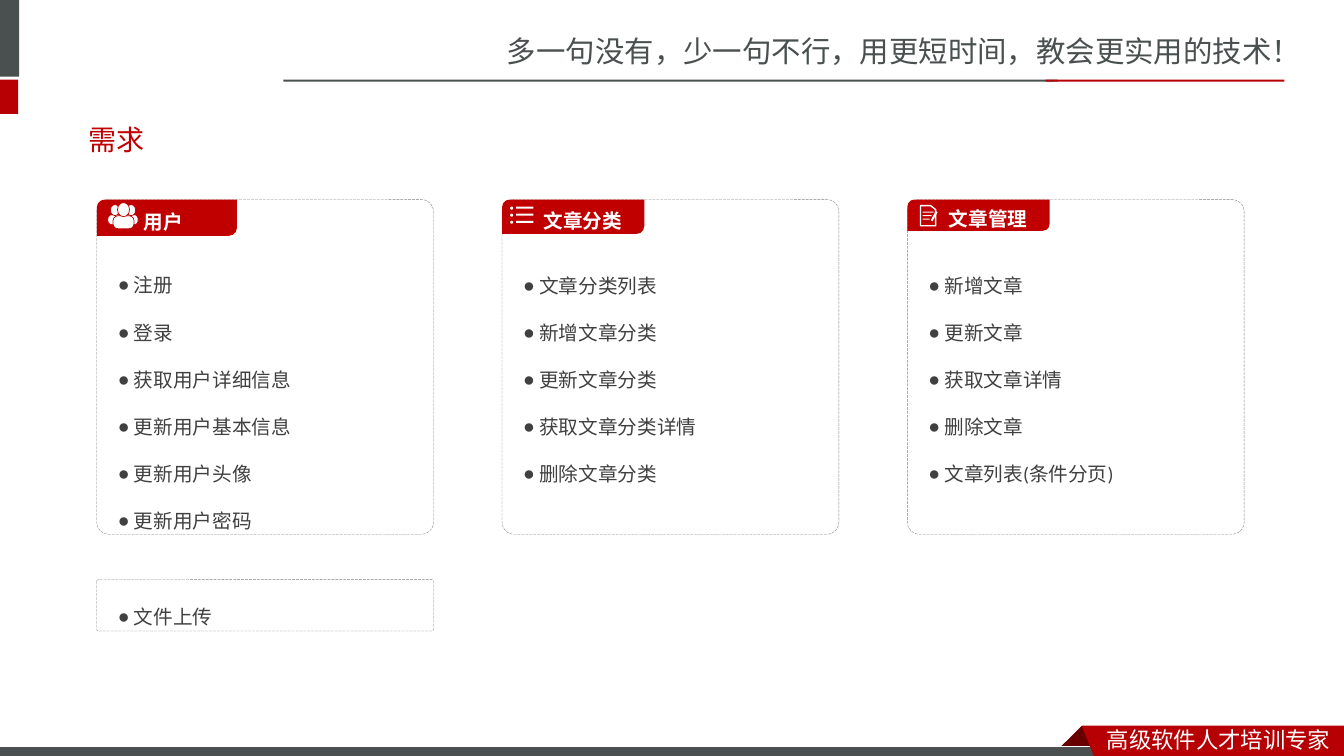
from pptx import Presentation
from pptx.dml.color import RGBColor
from pptx.enum.dml import MSO_LINE_DASH_STYLE as Dash
from pptx.enum.shapes import MSO_CONNECTOR as Link, MSO_SHAPE as Kind
from pptx.enum.text import MSO_ANCHOR as Anchor, PP_ALIGN as Align
from pptx.oxml.ns import qn
from pptx.util import Inches, Pt
from lxml.etree import SubElement as Sub

GREY = RGBColor(0x49, 0x50, 0x4F)
CRIMSON = RGBColor(0xB6, 0x00, 0x04)
DARK = RGBColor(0x68, 0x00, 0x00)
RED = RGBColor(0xC0, 0x00, 0x00)
EDGE = RGBColor(0x80, 0x80, 0x80)
INK = RGBColor(0x40, 0x40, 0x40)
WHITE = RGBColor(0xFF, 0xFF, 0xFF)
SANS = "Noto Sans CJK SC"
SANS_JP = "Noto Sans CJK JP"

CARDS = [
    (0.96, "用户", 1.39, 0.36, 0.44, "Calibri",
     ["注册", "登录", "获取用户详细信息", "更新用户基本信息", "更新用户头像", "更新用户密码"]),
    (4.98, "文章分类", 1.41, 0.34, 0.39, SANS_JP,
     ["文章分类列表", "新增文章分类", "更新文章分类", "获取文章分类详情", "删除文章分类"]),
    (9, "文章管理", 1.41, 0.31, 0.39, "Calibri",
     ["新增文章", "更新文章", "获取文章详情", "删除文章", "文章列表(条件分页)"]),
]


def apply(item, **values):
    for name, value in values.items():
        setattr(item, name, value)


def paint(shape, fill=None, line=None, width=0.75):
    shape.shadow.inherit = False
    if fill is None:
        shape.fill.background()
    else:
        shape.fill.solid()
        shape.fill.fore_color.rgb = fill
    if line is None:
        shape.line.fill.background()
    else:
        shape.line.color.rgb = line
        shape.line.width = Pt(width)
    return shape


def block(shapes, kind, box, fill=None, line=None, width=0.75):
    shape = shapes.add_shape(kind, *map(Inches, box))
    return paint(shape, fill, line, width)


def outline(shapes, points, fill=None, line=None, width=0.75):
    dots = [(round(x * 100), round(y * 100)) for x, y in points]
    form = shapes.build_freeform(*dots[0], scale=Inches(0.01))
    form.add_line_segments(dots[1:], close=True)
    return paint(form.convert_to_shape(), fill, line, width)


def write(par, text, size, color, face, bold=False):
    run = par.add_run()
    run.text = text
    apply(run.font, size=Pt(size), name=face, bold=bold)
    run.font.color.rgb = color
    Sub(run.font._element, qn("a:ea"), typeface=SANS)


def label(shapes, box, text, size, color, face, anchor=Anchor.TOP):
    frame = shapes.add_textbox(*map(Inches, box)).text_frame
    apply(frame, word_wrap=True, vertical_anchor=anchor)
    write(frame.paragraphs[0], text, size, color, face)


def bullets(shapes, box, items, face):
    frame = shapes.add_textbox(*map(Inches, box)).text_frame
    frame.word_wrap = True
    for i, item in enumerate(items):
        par = frame.add_paragraph() if i else frame.paragraphs[0]
        apply(par, level=1, line_spacing=2.0)
        props = par._p.get_or_add_pPr()
        props.set("marL", str(Inches(0.16)))
        props.set("indent", str(Inches(-0.31)))
        Sub(props, qn("a:buFont"), typeface="Arial")
        Sub(props, qn("a:buChar"), char="●")
        write(par, item, 14, INK, face)


def frame_box(shapes, box):
    shape = block(shapes, Kind.ROUNDED_RECTANGLE, box, line=EDGE, width=0.25)
    shape.adjustments[0] = 0.036
    shape.line.dash_style = Dash.LONG_DASH


def tab(shapes, box, text, inset):
    shape = block(shapes, Kind.ROUND_2_DIAG_RECTANGLE, box, RED)
    shape.adjustments[0], shape.adjustments[1] = 0.219, 0
    frame = shape.text_frame
    apply(frame, margin_left=Inches(inset), margin_top=0, margin_right=Inches(0.04),
          margin_bottom=Inches(0.04), vertical_anchor=Anchor.MIDDLE, word_wrap=True)
    par = frame.paragraphs[0]
    apply(par, alignment=Align.LEFT, line_spacing=1.5)
    write(par, text, 14, WHITE, SANS_JP, True)


def people(shapes):
    for x, y, head, wide, tall in [(1.07, 2.03, 0.09, 0.14, 0.1),
                                   (1.23, 2.03, 0.09, 0.14, 0.1),
                                   (1.12, 2.01, 0.12, 0.21, 0.13)]:
        body = (x, y + head + 0.01, wide, tall)
        top = (x + (wide - head) / 2, y, head, head + 0.02)
        shape = block(shapes, Kind.ROUNDED_RECTANGLE, body, WHITE, RED, 0.5)
        shape.adjustments[0] = 0.4
        block(shapes, Kind.OVAL, top, WHITE, RED, 0.5)


def rows(shapes):
    for i in range(3):
        y = 2.05 + 0.07 * i
        block(shapes, Kind.OVAL, (5.06, y, 0.03, 0.03), WHITE)
        block(shapes, Kind.RECTANGLE, (5.12, y, 0.17, 0.02), WHITE)


def note(shapes):
    page = [(9.13, 2.04), (9.23, 2.04), (9.28, 2.08), (9.28, 2.24), (9.13, 2.24)]
    outline(shapes, page, line=WHITE, width=1)
    for i, wide in enumerate([0.11, 0.09, 0.07]):
        block(shapes, Kind.RECTANGLE, (9.15, 2.1 + 0.035 * i, wide, 0.01), WHITE)
    ends = map(Inches, (9.24, 2.19, 9.29, 2.1))
    pen = shapes.add_connector(Link.STRAIGHT, *ends)
    pen.line.color.rgb = WHITE
    pen.line.width = Pt(1.5)
    Sub(pen._element.spPr, qn("a:effectLst"))


def decor(shapes):
    label(shapes, (4.93, 0.28, 8.41, 0.47),
          "多一句没有，少一句不行，用更短时间，教会更实用的技术！", 21, GREY, SANS)
    for box, fill in [((-0.06, 0, 0.25, 0.76), GREY),
                      ((-0.06, 0.79, 0.24, 0.34), CRIMSON),
                      ((2.81, 0.79, 7.68, 0.02), GREY),
                      ((10.37, 0.79, 2.37, 0.02), CRIMSON)]:
        block(shapes, Kind.RECTANGLE, box, fill)
    outline(shapes, [(10.73, 7.2), (10.95, 7.42), (10.94, 7.43),
                     (10.52, 7.43), (10.51, 7.42)], DARK)
    block(shapes, Kind.RECTANGLE, (-0.01, 7.41, 11, 0.12), GREY, WHITE)
    outline(shapes, [(10.73, 7.2), (13.33, 7.2), (13.33, 7.54), (10.86, 7.53)], CRIMSON)
    label(shapes, (10.88, 7.15, 2.45, 0.37), "高级软件人才培训专家", 16, WHITE, SANS)


def main():
    deck = Presentation()
    apply(deck, slide_width=Inches(13.33), slide_height=Inches(7.5))
    shapes = deck.slides.add_slide(deck.slide_layouts[6]).shapes
    decor(shapes)
    label(shapes, (0.78, 1.1, 11.7, 0.57), "需求", 20, RED, "Arial", Anchor.MIDDLE)
    for (x, name, wide, tall, inset, face, items), icon in zip(CARDS, (people, rows, note)):
        bullets(shapes, (x + 0.11, 2.43, 2.27, 0.47 * len(items) + 0.04), items, face)
        card = shapes.add_group_shape().shapes
        frame_box(card, (x, 1.98, 3.34, 3.32))
        tab(card, (x, 1.98, wide, tall), name, inset)
        icon(card)
    upload = shapes.add_group_shape().shapes
    frame_box(upload, (0.96, 5.75, 3.34, 0.51))
    bullets(upload, (1.07, 5.72, 2.09, 0.51), ["文件上传"], "Calibri")
    deck.save("out.pptx")


if __name__ == "__main__":
    main()
